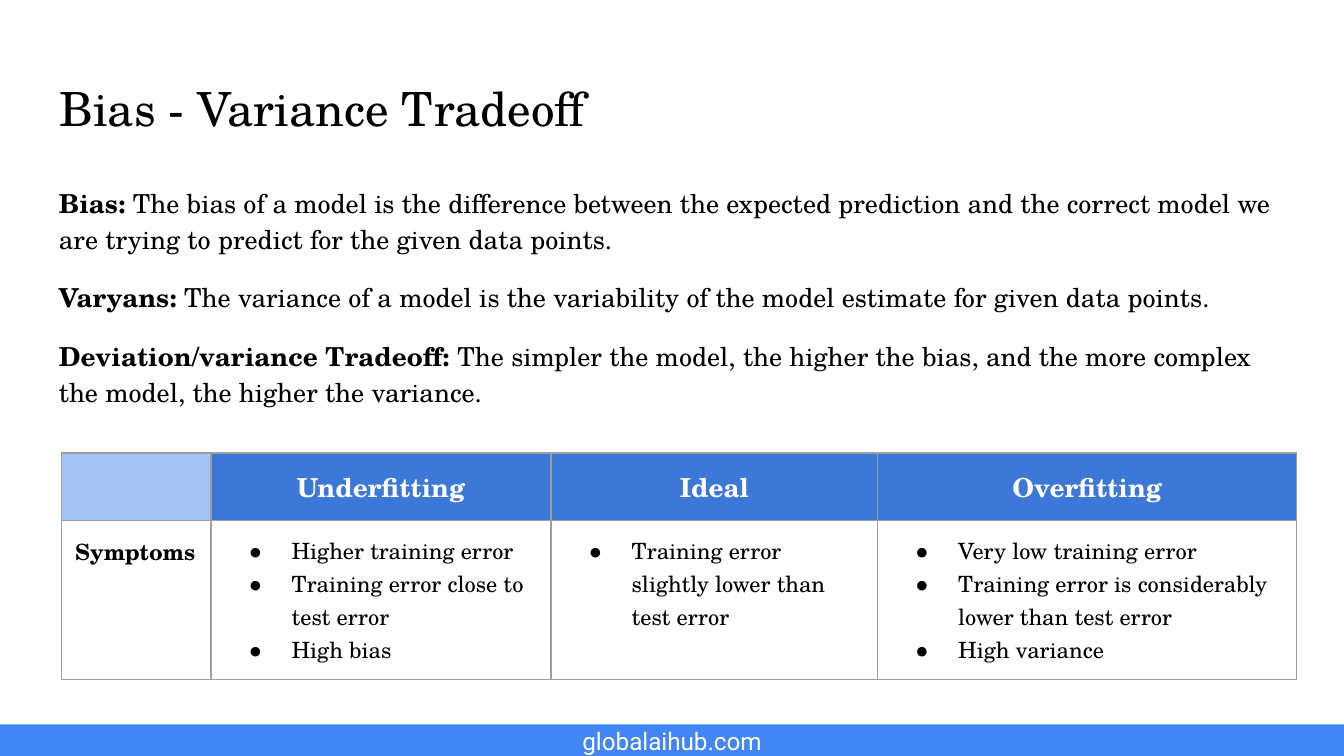
import pptx
import pptx.util
import pptx.dml.color
import pptx.enum.shapes
import pptx.enum.text
import pptx.oxml.ns
from lxml import etree

Inches = pptx.util.Inches
Pt = pptx.util.Pt
ALIGN = pptx.enum.text.PP_ALIGN
ANCHOR = pptx.enum.text.MSO_ANCHOR

COLORS = {
    "text": "000000",
    "white": "FFFFFF",
    "footer": "4285F4",
    "header": "3C78D8",
    "corner": "A4C2F4",
    "border": "9E9E9E",
}
SERIF = "TeX Gyre Schola"

DEFINITIONS = [
    ("Bias: ", "The bias of a model is the difference between the expected prediction "
               "and the correct model we are trying to predict for the given data points."),
    ("Varyans: ", "The variance of a model is the variability of the model estimate "
                  "for given data points."),
    ("Deviation/variance Tradeoff: ", "The simpler the model, the higher the bias, and the "
                                      "more complex the model, the higher the variance."),
]
SYMPTOMS = {
    "Underfitting": ["Higher training error", "Training error close to test error", "High bias"],
    "Ideal": ["Training error slightly lower than test error"],
    "Overfitting": ["Very low training error",
                    "Training error is considerably lower than test error", "High variance"],
}


def rgb(name):
    return pptx.dml.color.RGBColor.from_string(COLORS[name])


def add_run(p, text, size=14, font=SERIF, color="text", bold=False, align=ALIGN.LEFT):
    p.alignment = align
    r = p.add_run()
    r.text = text
    r.font.size = Pt(size)
    r.font.name = font
    r.font.bold = bold
    r.font.color.rgb = rgb(color)


def paragraphs(tf, count):
    """Return the first paragraph and as many new ones as needed."""
    return [tf.paragraphs[0]] + [tf.add_paragraph() for _ in range(count - 1)]


def set_frame(tf, anchor=ANCHOR.TOP):
    tf.word_wrap = True
    tf.auto_size = pptx.enum.text.MSO_AUTO_SIZE.NONE
    tf.vertical_anchor = anchor
    tf.margin_left = tf.margin_right = tf.margin_top = tf.margin_bottom = Inches(0.1)


def add_text_box(s, left, top, width, height, anchor=ANCHOR.TOP):
    sp = s.shapes.add_textbox(Inches(left), Inches(top), Inches(width), Inches(height))
    set_frame(sp.text_frame, anchor)
    return sp.text_frame


def add_bullet(p, size):
    pPr = p._p.get_or_add_pPr()
    pPr.set("marL", str(Inches(0.5)))
    pPr.set("indent", str(-Inches(0.33)))
    color = etree.SubElement(pPr, pptx.oxml.ns.qn("a:buClr"))
    etree.SubElement(color, pptx.oxml.ns.qn("a:srgbClr"), val=COLORS["text"])
    etree.SubElement(pPr, pptx.oxml.ns.qn("a:buSzPts"), val=str(size * 100))
    etree.SubElement(pPr, pptx.oxml.ns.qn("a:buFont"), typeface=SERIF)
    etree.SubElement(pPr, pptx.oxml.ns.qn("a:buChar"), char="●")


def format_cell(cell, fill=None):
    cell.margin_left = cell.margin_right = Inches(0.1)
    cell.margin_top = cell.margin_bottom = Inches(0.1)
    if fill:
        cell.fill.solid()
        cell.fill.fore_color.rgb = rgb(fill)
    else:
        cell.fill.background()
    # Borders come before the fill in the cell properties
    tcPr = cell._tc.get_or_add_tcPr()
    for i, side in enumerate(("lnL", "lnR", "lnT", "lnB")):
        ln = etree.Element(pptx.oxml.ns.qn("a:" + side), w=str(Pt(0.75)))
        solid = etree.SubElement(ln, pptx.oxml.ns.qn("a:solidFill"))
        etree.SubElement(solid, pptx.oxml.ns.qn("a:srgbClr"), val=COLORS["border"])
        tcPr.insert(i, ln)


def add_footer(s):
    sp = s.shapes.add_shape(pptx.enum.shapes.MSO_SHAPE.RECTANGLE,
                            0, Inches(5.39), Inches(10), Inches(0.24))
    sp.shadow.inherit = False
    sp.fill.solid()
    sp.fill.fore_color.rgb = rgb("footer")
    sp.line.fill.background()
    tf = add_text_box(s, 2.89, 5.29, 4.22, 0.44, ANCHOR.MIDDLE)
    add_run(tf.paragraphs[0], "globalaihub.com", size=13, font="Roboto",
            color="white", align=ALIGN.CENTER)


def add_title(s, text):
    sp = s.shapes.title
    sp.left, sp.top, sp.width, sp.height = (Inches(v) for v in (0.34, 0.49, 9.32, 0.63))
    set_frame(sp.text_frame)
    add_run(sp.text_frame.paragraphs[0], text, size=25.2)


def add_definitions(s):
    tf = add_text_box(s, 0.34, 1.26, 9.32, 3.74)
    for i, p in enumerate(paragraphs(tf, len(DEFINITIONS))):
        term, meaning = DEFINITIONS[i]
        p.line_spacing = 1.15
        if i:
            p.space_before = Pt(12)
        add_run(p, term, bold=True)
        add_run(p, meaning)


def add_symptom_table(s):
    widths, heights = (1.11, 2.53, 2.43, 3.12), (0.48, 1.15)
    table = s.shapes.add_table(len(heights), len(widths), Inches(0.46), Inches(3.37),
                               Inches(sum(widths)), Inches(sum(heights))).table
    table.first_row = table.horz_banding = False
    for column, width in zip(table.columns, widths):
        column.width = Inches(width)
    for row, height in zip(table.rows, heights):
        row.height = Inches(height)

    # Row label column
    format_cell(table.cell(0, 0), "corner")
    label = table.cell(1, 0)
    format_cell(label)
    add_run(label.text_frame.paragraphs[0], "Symptoms", size=12, bold=True)

    # One column per kind of fit
    for col, (heading, items) in enumerate(SYMPTOMS.items(), start=1):
        head, body = table.cell(0, col), table.cell(1, col)
        format_cell(head, "header")
        add_run(head.text_frame.paragraphs[0], heading, color="white",
                bold=True, align=ALIGN.CENTER)
        format_cell(body)
        for p, item in zip(paragraphs(body.text_frame, len(items)), items):
            add_bullet(p, size=12)
            add_run(p, item, size=12)


def main():
    prs = pptx.Presentation()
    prs.slide_width, prs.slide_height = Inches(10), Inches(10) * 9 // 16
    s = prs.slides.add_slide(prs.slide_layouts[5])
    add_footer(s)
    add_title(s, "Bias - Variance Tradeoff")
    add_definitions(s)
    add_symptom_table(s)
    prs.save("out.pptx")


if __name__ == "__main__":
    main()
